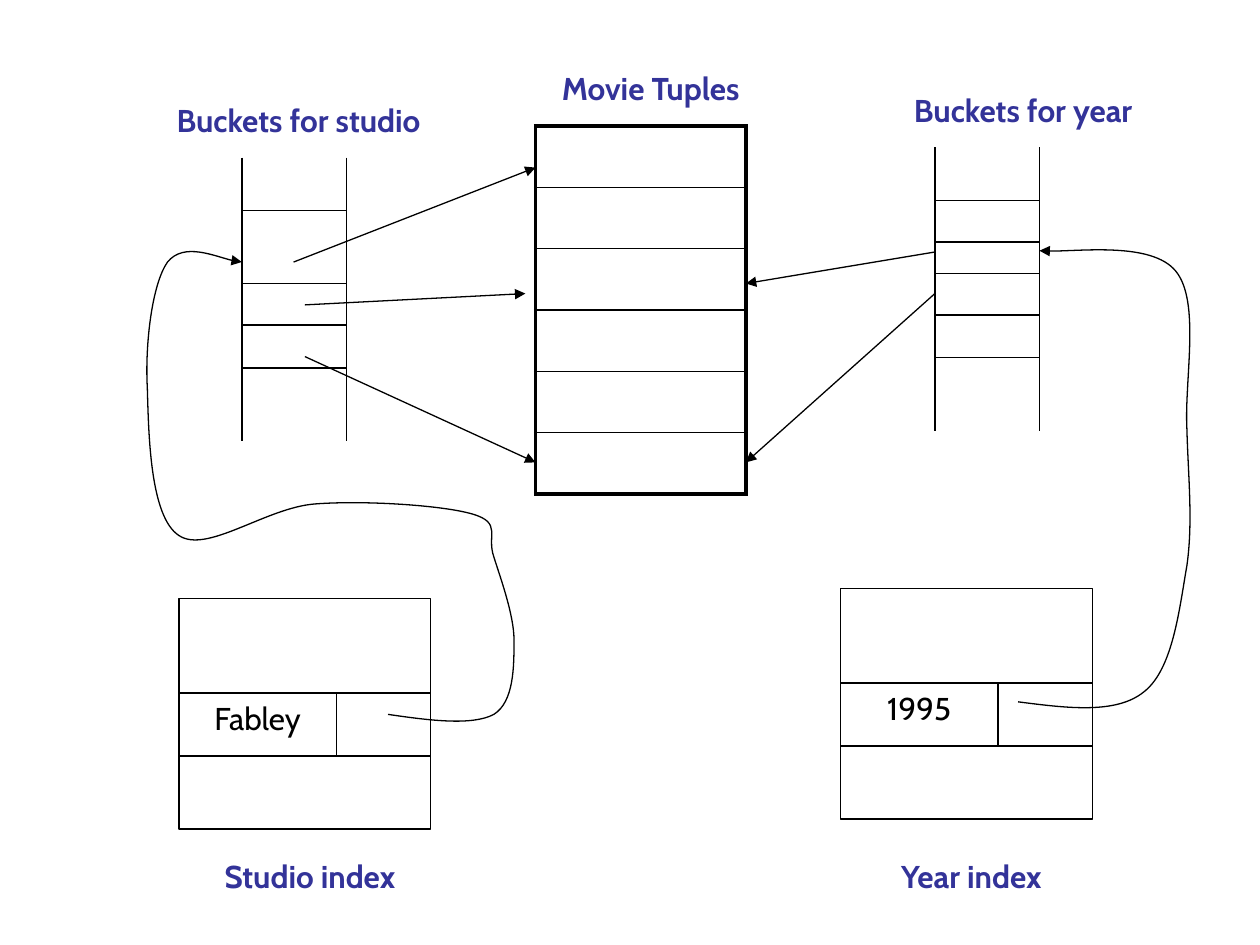
from lxml.etree import SubElement
from pptx import Presentation
from pptx.dml.color import RGBColor
from pptx.enum.shapes import MSO_CONNECTOR, MSO_SHAPE
from pptx.enum.text import MSO_ANCHOR, PP_ALIGN
from pptx.oxml import parse_xml
from pptx.oxml.ns import nsdecls, qn
from pptx.util import Inches, Pt

BLACK, WHITE, NAVY = "000000", "FFFFFF", "333399"
FONT, TEXT_SIZE, TEXT_HEIGHT = "Cabin", 18, 0.4
THIN, INNER, OUTER = 0.75, 1, 2.25

# text, left, top, width
HEADINGS = [
    ("Studio index", 1.17, 6.75, 2.58),
    ("Year index", 6.42, 6.75, 2.58),
    ("Buckets for studio", 1.08, 0.75, 2.58),
    ("Movie Tuples", 4, 0.5, 2.33),
    ("Buckets for year", 6.83, 0.67, 2.58),
]
TUPLES = {"left": 4.25, "top": 1, "width": 1.67, "height": 2.92, "rows": 6}

# key, left, top
INDEXES = [("Fabley", 1.42, 4.75), ("1995", 6.67, 4.67)]
INDEX_WIDTH, INDEX_HEIGHT = 2, 1.83
KEY_TOP, KEY_BOTTOM, KEY_WIDTH = 0.75, 1.25, 1.25

# left, top, offsets of the dividers
BUCKETS = [
    (1.92, 1.25, (0.42, 1, 1.33, 1.67)),
    (7.42, 1.17, (0.42, 0.75, 1, 1.33, 1.67)),
]
BUCKET_WIDTH, BUCKET_HEIGHT = 0.83, 2.25

BUCKET_TO_TUPLE = [
    ((2.33, 2.08), (4.25, 1.33)),
    ((2.42, 2.42), (4.17, 2.33)),
    ((2.42, 2.83), (4.25, 3.67)),
    ((7.42, 2), (5.92, 2.25)),
    ((7.42, 2.33), (5.92, 3.67)),
]
# start point, then two control points and an end point for each curve
INDEX_TO_BUCKET = [
    [(3.08, 5.67),
     (3.42, 5.72), (3.75, 5.76), (3.92, 5.67),
     (4.08, 5.57), (4.08, 5.29), (4.08, 5.08),
     (4.08, 4.88), (3.97, 4.58), (3.92, 4.42),
     (3.86, 4.25), (3.99, 4.15), (3.75, 4.08),
     (3.51, 4.01), (2.89, 3.97), (2.5, 4),
     (2.11, 4.03), (1.64, 4.4), (1.42, 4.25),
     (1.19, 4.1), (1.18, 3.44), (1.17, 3.08),
     (1.15, 2.72), (1.21, 2.25), (1.33, 2.08),
     (1.46, 1.92), (1.82, 2.08), (1.92, 2.08)],
    [(8.08, 5.57),
     (8.47, 5.62), (8.86, 5.67), (9.08, 5.49),
     (9.31, 5.31), (9.36, 4.83), (9.42, 4.49),
     (9.47, 4.14), (9.43, 3.79), (9.42, 3.4),
     (9.4, 3.01), (9.53, 2.39), (9.33, 2.15),
     (9.14, 1.92), (8.44, 2.01), (8.25, 1.99)],
]


def color(hex_string):
    return RGBColor.from_string(hex_string)


def style_line(shape, arrow=False):
    shape.line.color.rgb = color(BLACK)
    shape.line.width = Pt(THIN)
    if arrow:
        SubElement(shape.line._get_or_add_ln(), qn("a:tailEnd"), type="triangle")


def add_line(shapes, start, end, arrow=False):
    points = [Inches(value) for value in (*start, *end)]
    line = shapes.add_connector(MSO_CONNECTOR.STRAIGHT, *points)
    style_line(line, arrow)
    SubElement(line._element.spPr, qn("a:effectLst"))


def add_text(shapes, text, left, top, width, text_color, bold=False):
    box = shapes.add_textbox(*map(Inches, (left, top, width, TEXT_HEIGHT)))
    frame = box.text_frame
    frame.word_wrap = True
    frame.vertical_anchor = MSO_ANCHOR.TOP
    frame.text = text
    paragraph = frame.paragraphs[0]
    paragraph.alignment = PP_ALIGN.CENTER
    font = paragraph.runs[0].font
    font.name, font.size, font.bold = FONT, Pt(TEXT_SIZE), bold
    font.color.rgb = color(text_color)


def add_curve(shapes, points):
    """Draw the points as cubic curves, three points to a curve."""
    # The builder keeps whole units only, so lengths are given in EMU.
    start, *others = [(Inches(x), Inches(y)) for x, y in points]
    builder = shapes.build_freeform(*start)
    builder.add_line_segments(others, close=False)
    shape = builder.convert_to_shape()
    shape.shadow.inherit = False
    shape.fill.background()
    style_line(shape, arrow=True)
    segments = list(shape._element.iter(qn("a:lnTo")))
    outline = segments[0].getparent()
    for first in range(0, len(segments), 3):
        curve = SubElement(outline, qn("a:cubicBezTo"))
        for segment in segments[first:first + 3]:
            curve.append(segment[0])
            outline.remove(segment)


def set_borders(cell, widths):
    properties = cell._tc.get_or_add_tcPr()
    for position, (side, width) in enumerate(widths.items()):
        properties.insert(position, parse_xml(
            f'<a:ln{side} {nsdecls("a")} w="{Pt(width)}"><a:solidFill>'
            f'<a:srgbClr val="{BLACK}"/></a:solidFill></a:ln{side}>'))


def add_tuples(shapes, left, top, width, height, rows):
    area = map(Inches, (left, top, width, height))
    table = shapes.add_table(rows, 1, *area).table
    table.first_row = table.horz_banding = False
    for number in range(rows):
        table.rows[number].height = Inches(height / rows)
        cell = table.cell(number, 0)
        cell.fill.background()
        set_borders(cell, {
            "L": OUTER,
            "R": OUTER,
            "T": OUTER if number == 0 else INNER,
            "B": OUTER if number == rows - 1 else INNER,
        })


def add_index(shapes, key, left, top):
    right, key_right = left + INDEX_WIDTH, left + KEY_WIDTH
    upper, lower = top + KEY_TOP, top + KEY_BOTTOM
    area = map(Inches, (left, top, INDEX_WIDTH, INDEX_HEIGHT))
    frame = shapes.add_shape(MSO_SHAPE.RECTANGLE, *area)
    frame.shadow.inherit = False
    frame.fill.solid()
    frame.fill.fore_color.rgb = color(WHITE)
    style_line(frame)
    for y in (upper, lower):
        add_line(shapes, (left, y), (right, y))
    add_line(shapes, (key_right, upper), (key_right, lower))
    add_text(shapes, key, left, upper, KEY_WIDTH, BLACK)


def add_buckets(shapes, left, top, dividers):
    right = left + BUCKET_WIDTH
    for x in (left, right):
        add_line(shapes, (x, top), (x, top + BUCKET_HEIGHT))
    for offset in dividers:
        add_line(shapes, (left, top + offset), (right, top + offset))


def main():
    presentation = Presentation()
    presentation.slide_width, presentation.slide_height = Inches(10), Inches(7.5)
    slide = presentation.slides.add_slide(presentation.slide_layouts[6])
    shapes = slide.shapes
    add_tuples(shapes, **TUPLES)
    for index in INDEXES:
        add_index(shapes.add_group_shape().shapes, *index)
    for buckets in BUCKETS:
        add_buckets(shapes.add_group_shape().shapes, *buckets)
    for points in INDEX_TO_BUCKET:
        add_curve(shapes, points)
    for start, end in BUCKET_TO_TUPLE:
        add_line(shapes, start, end, arrow=True)
    for heading in HEADINGS:
        add_text(shapes, *heading, NAVY, bold=True)
    presentation.save("out.pptx")


if __name__ == "__main__":
    main()
